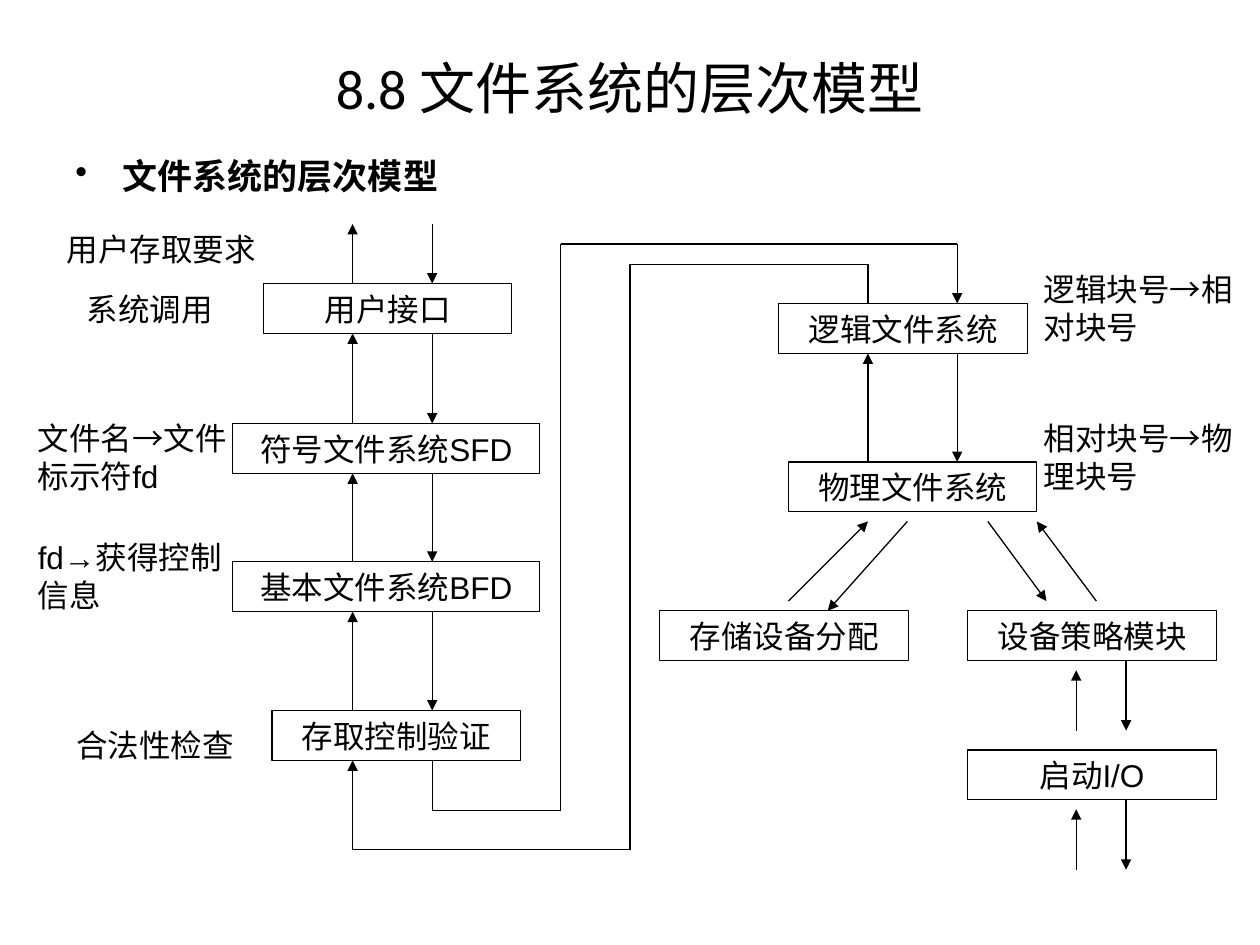
"""Build a slide showing the layered model of a file system."""
from itertools import pairwise

from lxml import etree
from pptx import Presentation
from pptx.dml.color import RGBColor
from pptx.enum.shapes import MSO_CONNECTOR, MSO_SHAPE
from pptx.enum.text import MSO_ANCHOR, MSO_AUTO_SIZE, PP_ALIGN
from pptx.oxml.ns import qn
from pptx.util import Pt

STRAIGHT = MSO_CONNECTOR.STRAIGHT
RECTANGLE = MSO_SHAPE.RECTANGLE
TOP, MIDDLE = MSO_ANCHOR.TOP, MSO_ANCHOR.MIDDLE
GROW = MSO_AUTO_SIZE.SHAPE_TO_FIT_TEXT
LEFT, CENTER = PP_ALIGN.LEFT, PP_ALIGN.CENTER

BLACK = "000000"
BOX_HEIGHT = 28.5
BOX_WIDTH, WIDE_BOX = 142, 175.5
LEFT_UP, LEFT_DOWN = 201.5, 247
RIGHT_UP, RIGHT_DOWN = 496, 547
DEVICE_UP, DEVICE_DOWN = 615, 643.5
LEFT_TOPS = [162, 242, 321, 406]
LOGICAL_TOP, PHYSICAL_TOP = 173.5, 264
DEVICE_TOP, START_TOP = 349, 428.5

TITLE = "8.8 文件系统的层次模型"
HEADING = "文件系统的层次模型"
LAYERS = [
    ("用户接口", 150.5, LEFT_TOPS[0], BOX_WIDTH),
    ("符号文件系统SFD", 133, LEFT_TOPS[1], WIDE_BOX),
    ("基本文件系统BFD", 133, LEFT_TOPS[2], WIDE_BOX),
    ("存取控制验证", 155.5, LEFT_TOPS[3], BOX_WIDTH),
    ("逻辑文件系统", 445, LOGICAL_TOP, BOX_WIDTH),
    ("物理文件系统", 450.5, PHYSICAL_TOP, BOX_WIDTH),
    ("存储设备分配", 377, DEVICE_TOP, BOX_WIDTH),
    ("设备策略模块", 553, DEVICE_TOP, BOX_WIDTH),
    ("启动I/O", 553, START_TOP, BOX_WIDTH),
]
NOTES = [
    ("用户存取要求", 31, 128, 130, 28.5),
    ("系统调用", 42.5, 162, 96.5, 28.5),
    ("文件名→文件标示符fd", 14.5, 236, 130, 50.5),
    ("fd→获得控制信息", 14.5, 304, 130, 50.5),
    ("合法性检查", 36.5, 411.5, 113, 28.5),
    ("逻辑块号→相对块号", 589.5, 151, 130, 50.5),
    ("相对块号→物理块号", 589.5, 236, 130, 50.5),
]
DIAGONALS = [
    [(564.5, 298), (598, 343.5)],
    [(518.5, 298), (473, 349)],
    [(450.5, 343.5), (496, 298)],
    [(626.5, 343.5), (592.5, 298)],
]
CONTROL_BOTTOM = LEFT_TOPS[-1] + BOX_HEIGHT
LOOPS = [
    [(LEFT_DOWN, CONTROL_BOTTOM), (LEFT_DOWN, 463), (320.5, 463),
     (320.5, 139.5), (RIGHT_DOWN, 139.5), (RIGHT_DOWN, LOGICAL_TOP)],
    [(RIGHT_UP, LOGICAL_TOP), (RIGHT_UP, 151), (360, 151),
     (360, 485.5), (LEFT_UP, 485.5), (LEFT_UP, CONTROL_BOTTOM)],
]


def color(value):
    return RGBColor.from_string(value)


def write(shape, text, size=18, name="Arial", bold=False, align=LEFT,
          anchor=TOP, grow=True, bullet=False):
    frame = shape.text_frame
    frame.word_wrap = True
    frame.vertical_anchor = anchor
    if grow:
        frame.auto_size = GROW
    para = frame.paragraphs[0]
    para.alignment = align
    if bullet:
        properties = para._p.get_or_add_pPr()
        properties.set("marL", str(Pt(27)))
        properties.set("indent", str(-Pt(27)))
        etree.SubElement(properties, qn("a:buChar")).set("char", "•")
    span = para.add_run()
    span.text = text
    for key, value in {"size": Pt(size), "name": name, "bold": bold}.items():
        setattr(span.font, key, value)
    span.font.color.rgb = color(BLACK)


def add_text(page, text, left, top, width, height, **formats):
    box = page.shapes.add_textbox(Pt(left), Pt(top), Pt(width), Pt(height))
    write(box, text, **formats)


def add_layer(page, text, left, top, width):
    box = page.shapes.add_shape(
        RECTANGLE, Pt(left), Pt(top), Pt(width), Pt(BOX_HEIGHT))
    box.shadow.inherit = False
    box.fill.background()
    box.line.color.rgb = color(BLACK)
    box.line.width = Pt(0.75)
    write(box, text, align=CENTER)


def add_route(page, points):
    for start, end in pairwise(points):
        line = page.shapes.add_connector(STRAIGHT, *map(Pt, start + end))
        line.line.color.rgb = color(BLACK)
        line.line.width = Pt(0.75)
        etree.SubElement(line._element.spPr, qn("a:effectLst"))
    outline = line.line._get_or_add_ln()
    etree.SubElement(outline, qn("a:tailEnd")).set("type", "triangle")


def vertical_routes():
    bottoms = [128] + [top + BOX_HEIGHT for top in LEFT_TOPS]
    spans = [(LEFT_UP, LEFT_DOWN, *ends) for ends in zip(bottoms, LEFT_TOPS)]
    spans.append((RIGHT_UP, RIGHT_DOWN, LOGICAL_TOP + BOX_HEIGHT, PHYSICAL_TOP))
    for up, down, upper, lower in spans:
        yield [(down, upper), (down, lower)]
        yield [(up, lower), (up, upper)]
    for top in (DEVICE_TOP, START_TOP):
        upper, lower = top + BOX_HEIGHT, top + 68.5
        yield [(DEVICE_DOWN, upper), (DEVICE_DOWN, lower)]
        yield [(DEVICE_UP, lower), (DEVICE_UP, upper + 5.5)]


def main():
    deck = Presentation()
    deck.slide_width, deck.slide_height = Pt(720), Pt(540)
    page = deck.slides.add_slide(deck.slide_layouts[6])
    add_text(page, TITLE, 36, 21.5, 648, 57, size=32, name="Calibri",
             align=CENTER, anchor=MIDDLE, grow=False)
    add_text(page, HEADING, 36, 85, 648, 33, size=20, name="Calibri",
             bold=True, grow=False, bullet=True)
    for layer in LAYERS:
        add_layer(page, *layer)
    for route in [*vertical_routes(), *DIAGONALS, *LOOPS]:
        add_route(page, route)
    for note in NOTES:
        add_text(page, *note)
    deck.save("out.pptx")


if __name__ == "__main__":
    main()
